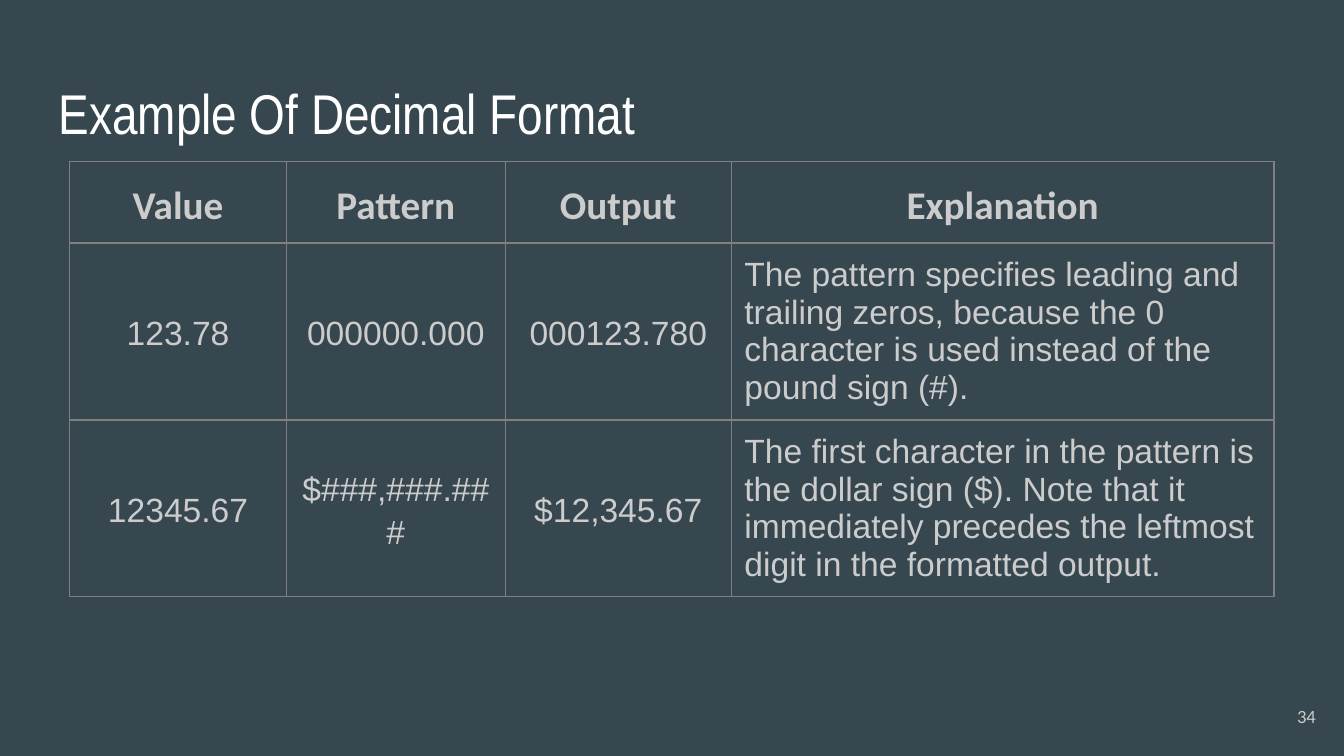
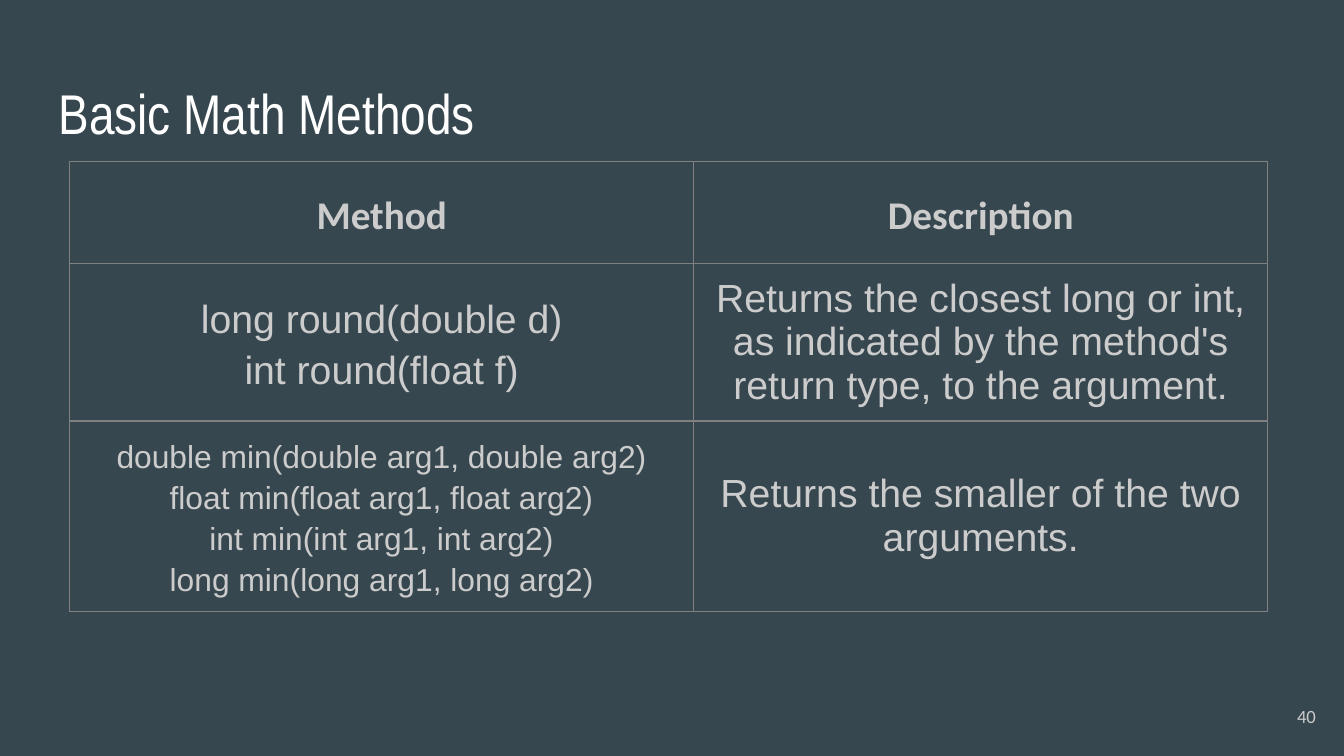
from dataclasses import dataclass
from typing import Optional

import lxml.etree
import pptx
import pptx.dml.color
import pptx.enum.text
import pptx.oxml.ns
import pptx.slide
import pptx.table
import pptx.text.text
import pptx.util

Cm = pptx.util.Cm
Align = pptx.enum.text.PP_ALIGN
Anchor = pptx.enum.text.MSO_ANCHOR


@dataclass(frozen=True)
class TextStyle:
    font: str
    size: float
    color: str
    bold: bool = False
    align: Align = Align.CENTER
    spacing: Optional[float] = None


@dataclass(frozen=True)
class Theme:
    background: str = "37474F"
    border: str = "808080"
    border_width: float = 0.75
    inset: float = 0.25
    title: TextStyle = TextStyle("Arial Narrow", 30, "FFFFFF", align=Align.LEFT)
    page_number: TextStyle = TextStyle("Calibri", 10, "CACACA", align=Align.RIGHT)
    heading: TextStyle = TextStyle("Calibri", 21, "CCCCCC", bold=True, spacing=1.15)
    value: TextStyle = TextStyle("Arial", 18, "CCCCCC", spacing=1.15)
    explanation: TextStyle = TextStyle("Arial", 18, "CCCCCC", align=Align.LEFT)
    method: TextStyle = TextStyle("Arial", 21, "CCCCCC", spacing=1.15)
    overloads: TextStyle = TextStyle("Arial", 17, "CCCCCC", spacing=1.15)
    description: TextStyle = TextStyle("Arial", 21, "CCCCCC")


THEME = Theme()


@dataclass(frozen=True)
class Entry:
    text: str
    style: TextStyle


@dataclass(frozen=True)
class Lesson:
    title: str
    page: int
    widths: list[float]
    heights: list[float]
    rows: list[list[Entry]]


def headings(*labels: str) -> list[Entry]:
    return [Entry(label, THEME.heading) for label in labels]


def format_row(value: str, pattern: str, output: str, explanation: str) -> list[Entry]:
    examples = [Entry(text, THEME.value) for text in (value, pattern, output)]
    return examples + [Entry(explanation, THEME.explanation)]


LESSONS = [
    Lesson(
        "Example Of Decimal Format", 34,
        [4.09, 4.14, 4.27, 10.26], [1.45, 2.11, 1.3],
        [
            headings("Value", "Pattern", "Output", "Explanation"),
            format_row(
                "123.78", "000000.000", "000123.780",
                "The pattern specifies leading and trailing zeros, because the 0 "
                "character is used instead of the pound sign (#).",
            ),
            format_row(
                "12345.67", "$###,###.###", "$12,345.67",
                "The first character in the pattern is the dollar sign ($). Note that it "
                "immediately precedes the leftmost digit in the formatted output.",
            ),
        ],
    ),
    Lesson(
        "Basic Math Methods", 40,
        [11.79, 10.85], [1.93, 2.84, 2.87],
        [
            headings("Method", "Description"),
            [
                Entry("long round(double d)\nint round(float f)", THEME.method),
                Entry(
                    "Returns the closest long or int, as indicated by the method's "
                    "return type, to the argument.",
                    THEME.description,
                ),
            ],
            [
                Entry(
                    "\n".join(
                        f"{kind} min({kind} arg1, {kind} arg2)"
                        for kind in ("double", "float", "int", "long")
                    ),
                    THEME.overloads,
                ),
                Entry("Returns the smaller of the two arguments.", THEME.description),
            ],
        ],
    ),
]


def write(frame: pptx.text.text.TextFrame, text: str, style: TextStyle) -> None:
    frame.text = text
    for paragraph in frame.paragraphs:
        paragraph.alignment = style.align
        if style.spacing:
            paragraph.line_spacing = style.spacing
        for run in paragraph.runs:
            run.font.name = style.font
            run.font.size = pptx.util.Pt(style.size)
            run.font.bold = style.bold
            run.font.color.rgb = pptx.dml.color.RGBColor.from_string(style.color)


def set_frame(frame: pptx.text.text.TextFrame, anchor: Anchor) -> None:
    frame.word_wrap = True
    frame.auto_size = pptx.enum.text.MSO_AUTO_SIZE.NONE
    frame.vertical_anchor = anchor
    frame.margin_left = frame.margin_right = Cm(THEME.inset)
    frame.margin_top = frame.margin_bottom = Cm(THEME.inset)


def add_title(slide: pptx.slide.Slide, text: str) -> None:
    title = slide.shapes.title
    title.left, title.top = Cm(0.86), Cm(1.24)
    title.width, title.height = Cm(23.67), Cm(1.6)
    set_frame(title.text_frame, Anchor.TOP)
    write(title.text_frame, text, THEME.title)


def add_page_number(slide: pptx.slide.Slide, page: int) -> None:
    number = slide.shapes.add_textbox(Cm(23.6), Cm(13), Cm(1.52), Cm(1.09))
    set_frame(number.text_frame, Anchor.MIDDLE)
    write(number.text_frame, str(page), THEME.page_number)


def outline(cell: pptx.table._Cell) -> None:
    qn = pptx.oxml.ns.qn
    cell.fill.background()
    properties = cell._tc.get_or_add_tcPr()
    for position, side in enumerate(("lnL", "lnR", "lnT", "lnB")):
        line = lxml.etree.Element(qn(f"a:{side}"), w=str(pptx.util.Pt(THEME.border_width)))
        fill = lxml.etree.SubElement(line, qn("a:solidFill"))
        lxml.etree.SubElement(fill, qn("a:srgbClr"), val=THEME.border)
        properties.insert(position, line)


def add_grid(slide: pptx.slide.Slide, lesson: Lesson) -> None:
    grid = slide.shapes.add_table(
        len(lesson.heights), len(lesson.widths), Cm(1.32), Cm(3.05),
        Cm(sum(lesson.widths)), Cm(sum(lesson.heights)),
    ).table
    grid.first_row = grid.horz_banding = False
    for column, width in zip(grid.columns, lesson.widths):
        column.width = Cm(width)
    for row, height, entries in zip(grid.rows, lesson.heights, lesson.rows):
        row.height = Cm(height)
        for cell, entry in zip(row.cells, entries):
            cell.vertical_anchor = Anchor.MIDDLE
            cell.margin_left = cell.margin_right = Cm(THEME.inset)
            cell.margin_top = cell.margin_bottom = Cm(THEME.inset)
            write(cell.text_frame, entry.text, entry.style)
            outline(cell)


def main() -> None:
    deck = pptx.Presentation()
    deck.slide_width, deck.slide_height = Cm(25.4), Cm(14.29)
    backdrop = deck.slide_master.background.fill
    backdrop.solid()
    backdrop.fore_color.rgb = pptx.dml.color.RGBColor.from_string(THEME.background)
    title_only = deck.slide_layouts.get_by_name("Title Only")
    for lesson in LESSONS:
        slide = deck.slides.add_slide(title_only)
        add_title(slide, lesson.title)
        add_page_number(slide, lesson.page)
        add_grid(slide, lesson)
    deck.save("out.pptx")


if __name__ == "__main__":
    main()
